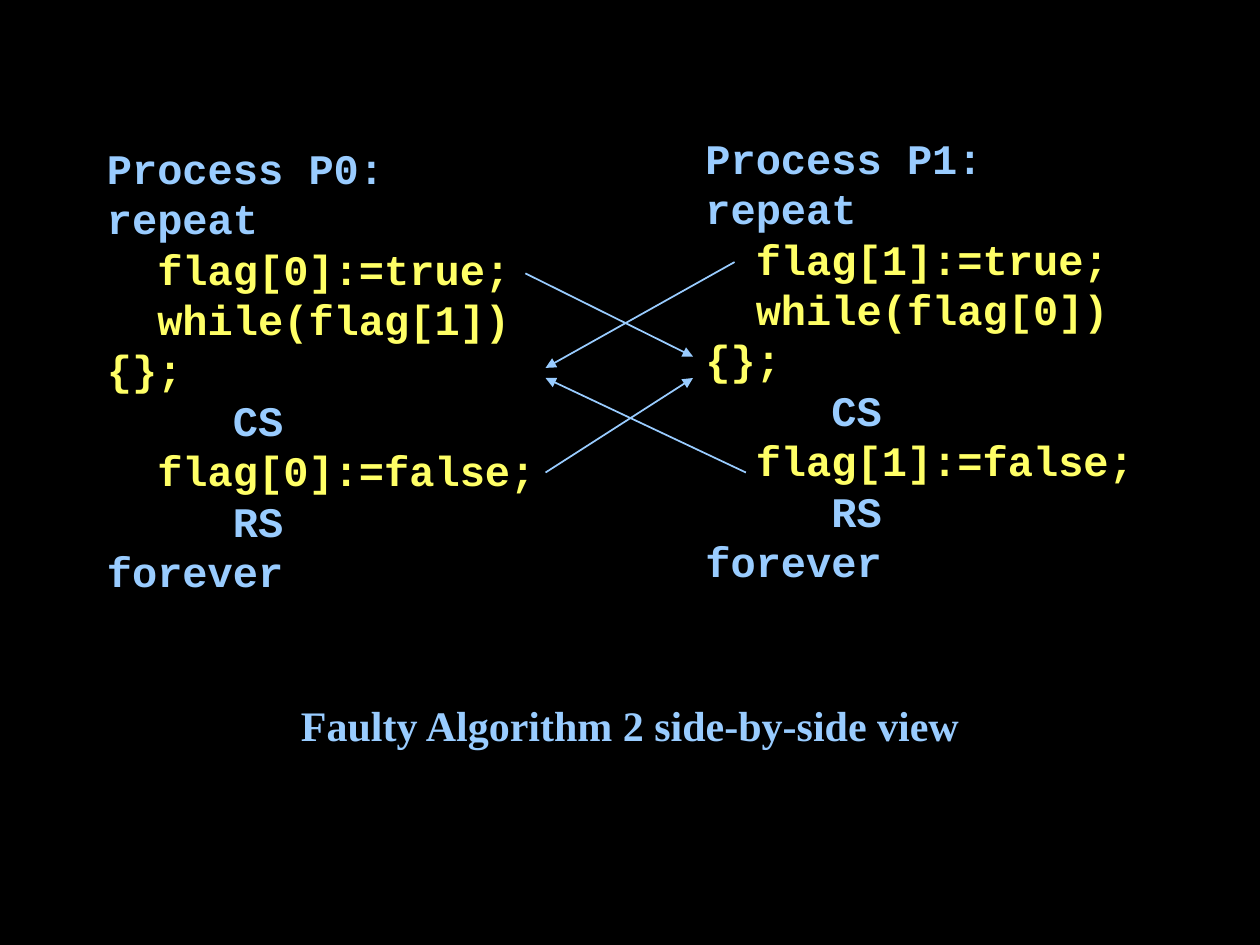
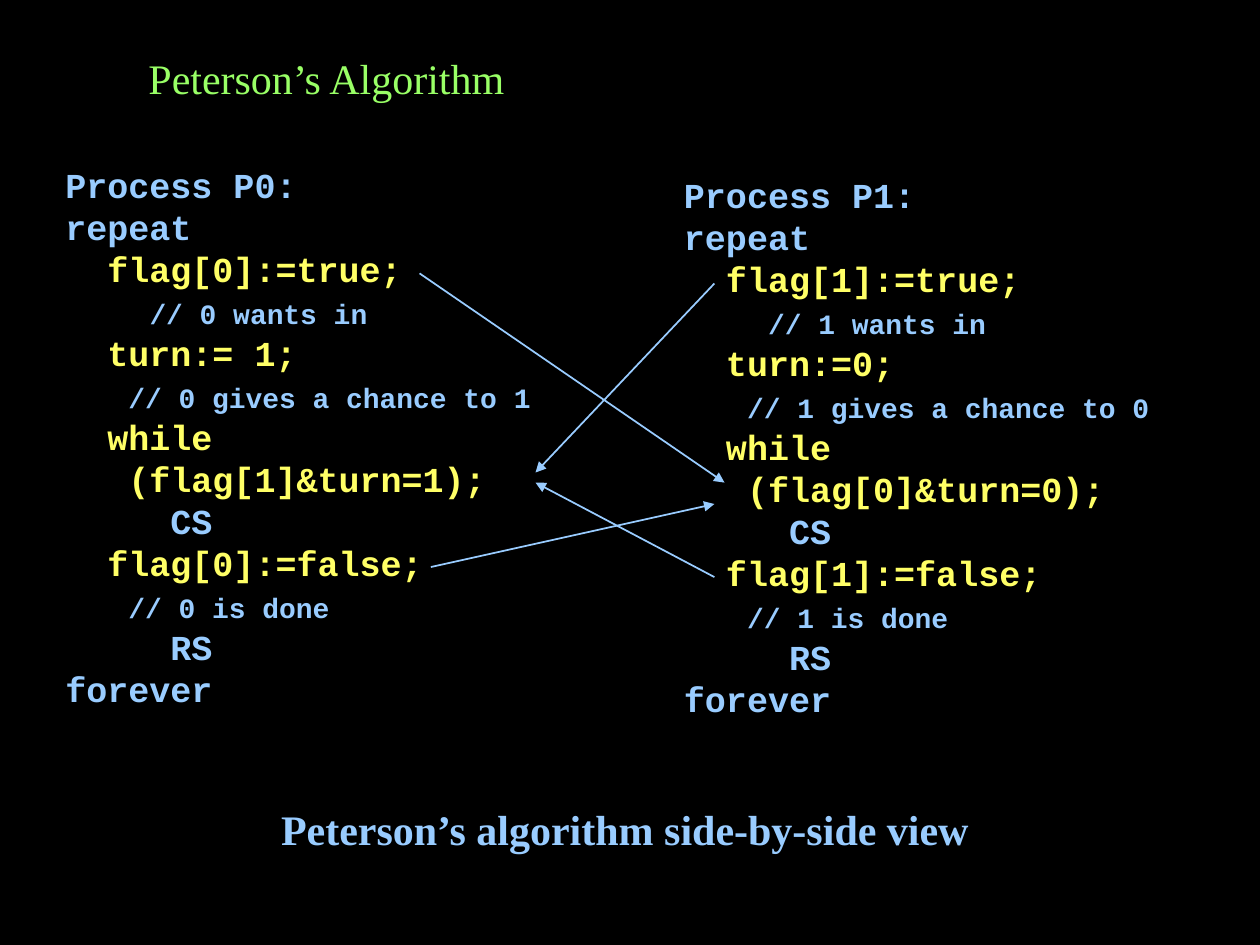
from lxml import etree
from pptx import Presentation
from pptx.dml.color import RGBColor
from pptx.enum import shapes, text
from pptx.oxml.ns import qn
from pptx.util import Inches, Pt

BLACK, BLUE, YELLOW, GREEN = "000000", "99CCFF", "FFFF66", "99FF66"
CODE_FONT, PROSE_FONT = "Courier New", "Times New Roman"
PROSE_SIZE, COMMENT_SIZE = 24, 16

# Each code line: text and colour; ME and OTHER stand for the process numbers.
FAULTY_CODE = [
    ("Process PME:", BLUE),
    ("repeat", BLUE),
    ("  flag[ME]:=true;", YELLOW),
    ("  while(flag[OTHER]){};", YELLOW),
    ("     CS", BLUE),
    ("  flag[ME]:=false;", YELLOW),
    ("     RS", BLUE),
    ("forever", BLUE),
]
PETERSON_CODE = [
    ("Process PME:", BLUE),
    ("repeat", BLUE),
    ("  flag[ME]:=true;", YELLOW),
    ("    // ME wants in", BLUE),
    ("  turn:=GAP OTHER;", YELLOW),
    ("   // ME gives a chance to OTHER", BLUE),
    ("  while", YELLOW),
    ("   (flag[OTHER]&turn=OTHER);", YELLOW),
    ("     CS", BLUE),
    ("  flag[ME]:=false;", YELLOW),
    ("   // ME is done", BLUE),
    ("     RS", BLUE),
    ("forever", BLUE),
]

# Boxes are left, top, width, height; arrows are start x, y, end x, y.
PAGES = [
    {
        "code": FAULTY_CODE,
        "code_size": 24,
        "processes": [(0.75, 1.08, 3.67, 4.31), (5.5, 1, 3.67, 4.31)],
        "caption": ("Faulty Algorithm 2 side-by-side view", (1, 5.5, 8, 0.5)),
        "arrows": [(4.17, 2.17, 5.5, 2.83), (4.33, 3.75, 5.5, 3),
                   (5.83, 2.08, 4.33, 2.92), (5.92, 3.75, 4.33, 3)],
    },
    {
        "title": ("Peterson’s Algorithm", (1.08, 0.25, 8.62, 0.73)),
        "code": PETERSON_CODE,
        "code_size": 20,
        "processes": [(0.42, 1.25, 4.58, 4.94), (5.33, 1.33, 4.25, 4.94)],
        "caption": ("Peterson’s algorithm side-by-side view", (1, 6.33, 7.92, 0.5)),
        "arrows": [(3.33, 2.17, 5.75, 3.83), (3.42, 4.5, 5.67, 4),
                   (5.67, 2.25, 4.25, 3.75), (5.67, 4.58, 4.25, 3.83)],
    },
]


def rgb(value):
    return RGBColor.from_string(value)


def add_box(page, place, **frame_format):
    frame = page.shapes.add_textbox(*map(Inches, place)).text_frame
    settings = {"word_wrap": True, "auto_size": text.MSO_AUTO_SIZE.NONE, **frame_format}
    for name, value in settings.items():
        setattr(frame, name, value)
    return frame


def add_span(para, words, color, **font_format):
    span = para.add_run()
    span.text = words
    span.font.color.rgb = rgb(color)
    for name, value in font_format.items():
        setattr(span.font, name, value)


def add_process(page, code, place, me, size):
    """Write the code of process number me, with comments in a smaller size."""
    other = 1 - me
    frame = add_box(page, place, auto_size=text.MSO_AUTO_SIZE.SHAPE_TO_FIT_TEXT)
    for index, (line, color) in enumerate(code):
        para = frame.add_paragraph() if index else frame.paragraphs[0]
        line = line.replace("GAP ", "" if me else " ")
        line = line.replace("ME", str(me)).replace("OTHER", str(other))
        words = line.lstrip()
        indent = line[:len(line) - len(words)]
        font = {"name": CODE_FONT, "bold": True, "size": Pt(size)}
        if words.startswith("//"):
            add_span(para, indent, color, **font)
            add_span(para, words, color, **{**font, "size": Pt(COMMENT_SIZE)})
        else:
            add_span(para, line, color, **font)


def add_title(page, words, place):
    frame = add_box(page, place, vertical_anchor=text.MSO_ANCHOR.MIDDLE)
    add_span(frame.paragraphs[0], words, GREEN, name=PROSE_FONT, size=Pt(PROSE_SIZE))


def add_caption(page, words, place):
    para = add_box(page, place, auto_size=text.MSO_AUTO_SIZE.SHAPE_TO_FIT_TEXT).paragraphs[0]
    para.alignment = text.PP_ALIGN.CENTER
    add_span(para, words, BLUE, name=PROSE_FONT, size=Pt(PROSE_SIZE), bold=True)


def add_arrow(page, ends):
    arrow = page.shapes.add_connector(shapes.MSO_CONNECTOR.STRAIGHT, *map(Inches, ends))
    arrow.line.color.rgb = rgb(BLUE)
    arrow.line.width = Pt(1)
    etree.SubElement(arrow.line._get_or_add_ln(), qn("a:tailEnd"), type="triangle")
    etree.SubElement(arrow._element.spPr, qn("a:effectLst"))


def main():
    deck = Presentation()
    deck.slide_width, deck.slide_height = Inches(10), Inches(7.5)
    backdrop = deck.slide_master.background.fill
    backdrop.solid()
    backdrop.fore_color.rgb = rgb(BLACK)
    for content in PAGES:
        page = deck.slides.add_slide(deck.slide_layouts[6])
        for number, place in enumerate(content["processes"]):
            add_process(page, content["code"], place, number, content["code_size"])
        add_caption(page, *content["caption"])
        for ends in content["arrows"]:
            add_arrow(page, ends)
        if "title" in content:
            add_title(page, *content["title"])
    deck.save("out.pptx")


if __name__ == "__main__":
    main()
